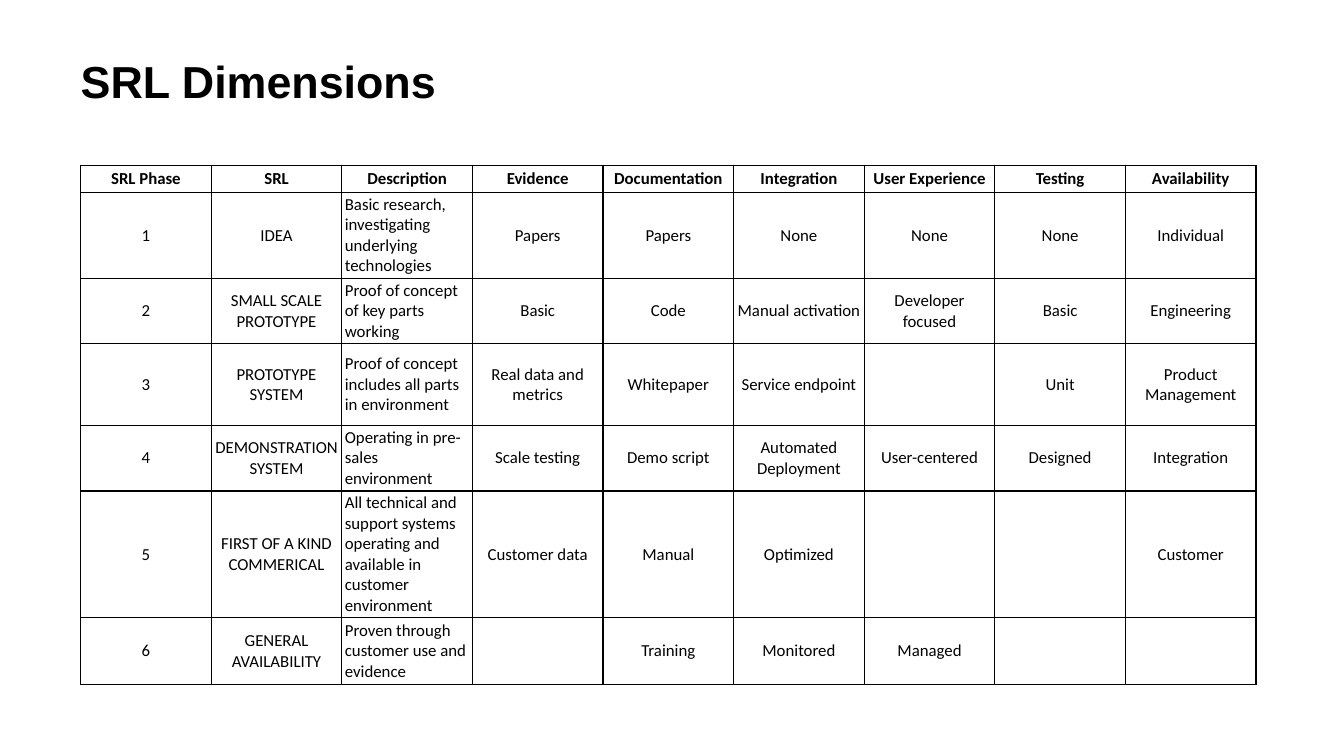
from lxml import etree
from pptx import Presentation
from pptx.dml.color import RGBColor
from pptx.enum.text import MSO_ANCHOR, PP_ALIGN
from pptx.oxml.ns import qn
from pptx.util import Inches, Pt

MIDDLE = MSO_ANCHOR.MIDDLE
LEFT, CENTER = PP_ALIGN.LEFT, PP_ALIGN.CENTER

COLORS = {"ink": "000000"}
TITLE = "SRL Dimensions"
HEADERS = ["SRL Phase", "SRL", "Description", "Evidence", "Documentation",
           "Integration", "User Experience", "Testing", "Availability"]
PHASES = [
    ["1", "IDEA", "Basic research, investigating underlying technologies",
     "Papers", "Papers", "None", "None", "None", "Individual"],
    ["2", "SMALL SCALE PROTOTYPE", "Proof of concept of key parts working",
     "Basic", "Code", "Manual activation", "Developer focused", "Basic", "Engineering"],
    ["3", "PROTOTYPE SYSTEM", "Proof of concept includes all parts in environment",
     "Real data and metrics", "Whitepaper", "Service endpoint", "", "Unit",
     "Product Management"],
    ["4", "DEMONSTRATION SYSTEM", "Operating in pre-sales environment",
     "Scale testing", "Demo script", "Automated Deployment", "User-centered",
     "Designed", "Integration"],
    ["5", "FIRST OF A KIND COMMERICAL",
     "All technical and support systems operating and available in customer environment",
     "Customer data", "Manual", "Optimized", "", "", "Customer"],
    ["6", "GENERAL AVAILABILITY", "Proven through customer use and evidence",
     "", "Training", "Monitored", "Managed", "", ""],
]
ROW_HEIGHTS = [0.27, 0.85, 0.64, 0.81, 0.64, 1.25, 0.66]
TABLE_LEFT, TABLE_TOP, TABLE_WIDTH = 0.8, 1.64, 11.66
DESCRIPTION = HEADERS.index("Description")

TITLE_FONT = {"name": "Arial", "size": Pt(32), "bold": True}
HEADER_FONT = {"name": "Calibri", "size": Pt(12), "bold": True}
BODY_FONT = {**HEADER_FONT, "bold": False}
TITLE_FRAME = {"word_wrap": True, "vertical_anchor": MIDDLE, "margin_left": 0,
               "margin_right": 0, "margin_top": 0, "margin_bottom": Inches(0.08)}
CELL_FORMAT = {"vertical_anchor": MIDDLE, "margin_left": Inches(0.03),
               "margin_right": Inches(0.03), "margin_top": Inches(0.02),
               "margin_bottom": Inches(0.02)}


def set_attrs(obj, values):
    for name, value in values.items():
        setattr(obj, name, value)


def write(p, text, font, align):
    p.alignment = align
    r = p.add_run()
    r.text = text
    set_attrs(r.font, font)
    r.font.color.rgb = RGBColor.from_string(COLORS["ink"])


def add_borders(cell):
    tc_pr = cell._tc.get_or_add_tcPr()
    for i, side in enumerate(("lnL", "lnR", "lnT", "lnB")):
        ln = etree.Element(qn(f"a:{side}"), w=str(Pt(1)))
        fill = etree.SubElement(ln, qn("a:solidFill"))
        etree.SubElement(fill, qn("a:srgbClr"), val=COLORS["ink"])
        tc_pr.insert(i, ln)


def add_title(slide):
    sp = slide.shapes.add_textbox(Inches(0.8), Inches(0.53), Inches(11.72), Inches(0.62))
    set_attrs(sp.text_frame, TITLE_FRAME)
    write(sp.text_frame.paragraphs[0], TITLE, TITLE_FONT, LEFT)


def add_srl_table(slide):
    rows = [HEADERS] + PHASES
    table = slide.shapes.add_table(
        len(rows), len(HEADERS), Inches(TABLE_LEFT), Inches(TABLE_TOP),
        Inches(TABLE_WIDTH), Inches(sum(ROW_HEIGHTS))).table
    set_attrs(table, {"first_row": False, "horz_banding": False})
    for column in table.columns:
        column.width = Inches(TABLE_WIDTH / len(HEADERS))
    for i, (height, texts) in enumerate(zip(ROW_HEIGHTS, rows)):
        table.rows[i].height = Inches(height)
        for j, text in enumerate(texts):
            cell = table.cell(i, j)
            set_attrs(cell, CELL_FORMAT)
            cell.fill.background()
            add_borders(cell)
            if text:
                align = LEFT if i and j == DESCRIPTION else CENTER
                write(cell.text_frame.paragraphs[0], text,
                      BODY_FONT if i else HEADER_FONT, align)


def main():
    prs = Presentation()
    prs.slide_width, prs.slide_height = Inches(13.33), Inches(7.5)
    slide = prs.slides.add_slide(prs.slide_layouts[6])
    add_srl_table(slide)
    add_title(slide)
    prs.save("out.pptx")


if __name__ == "__main__":
    main()
